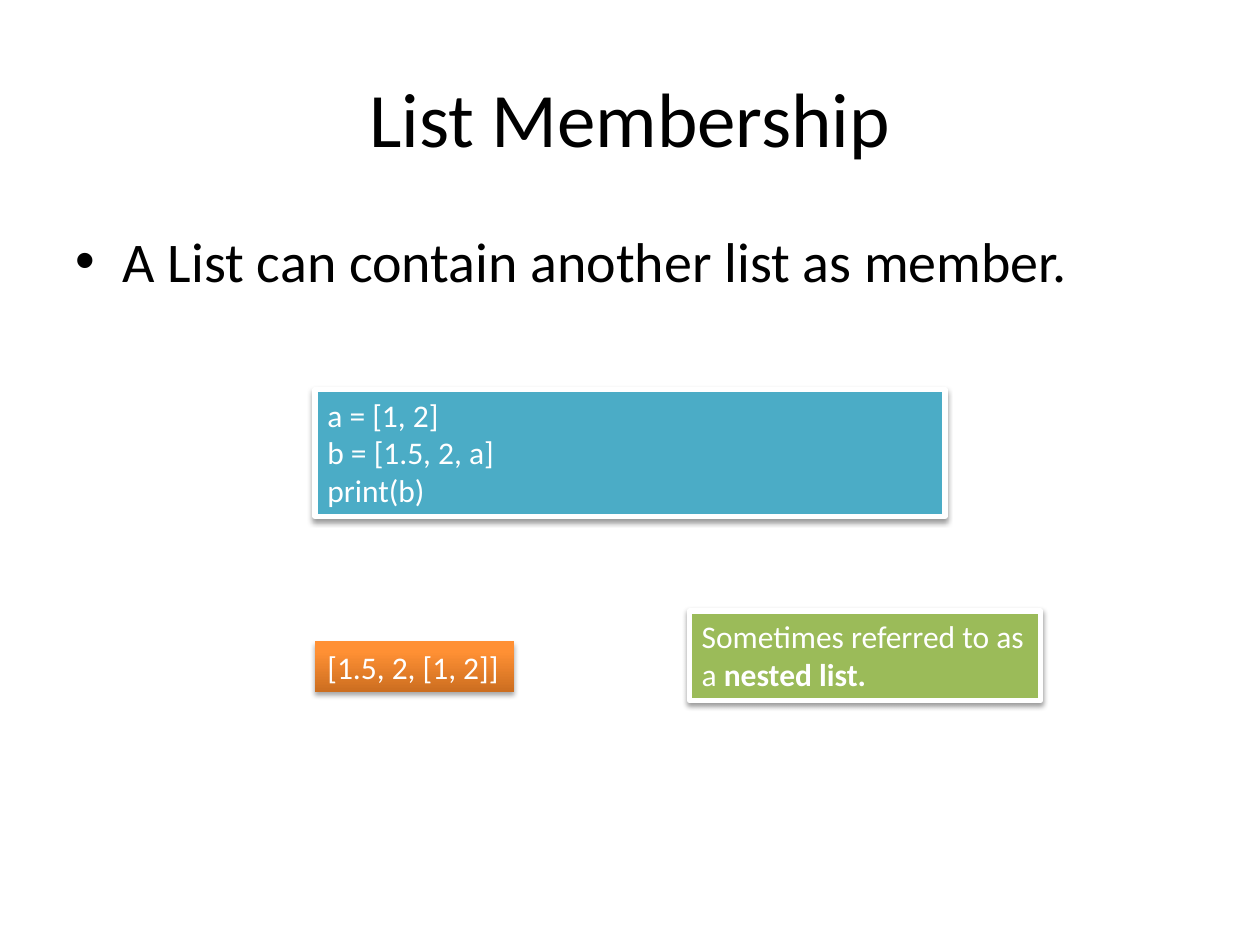
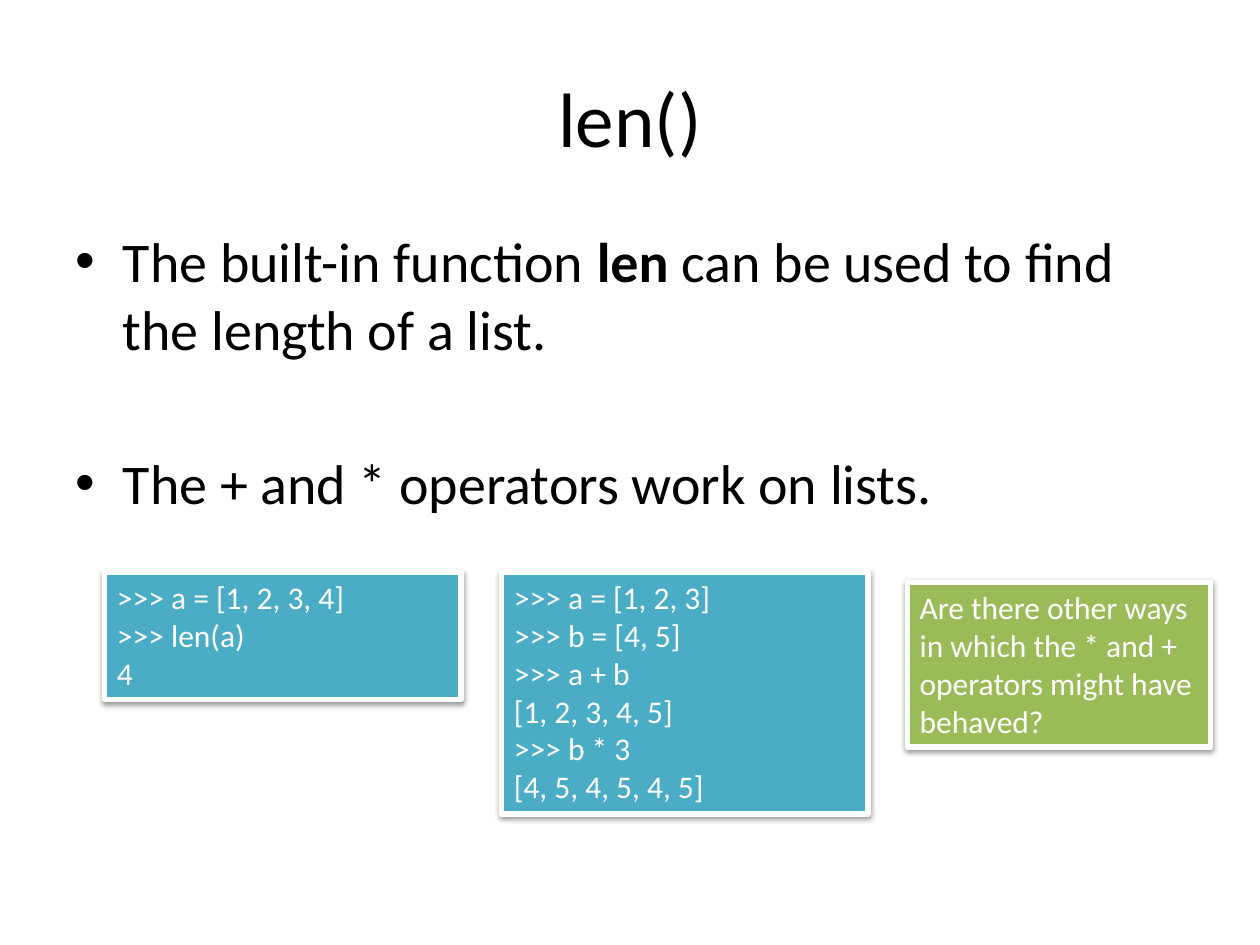
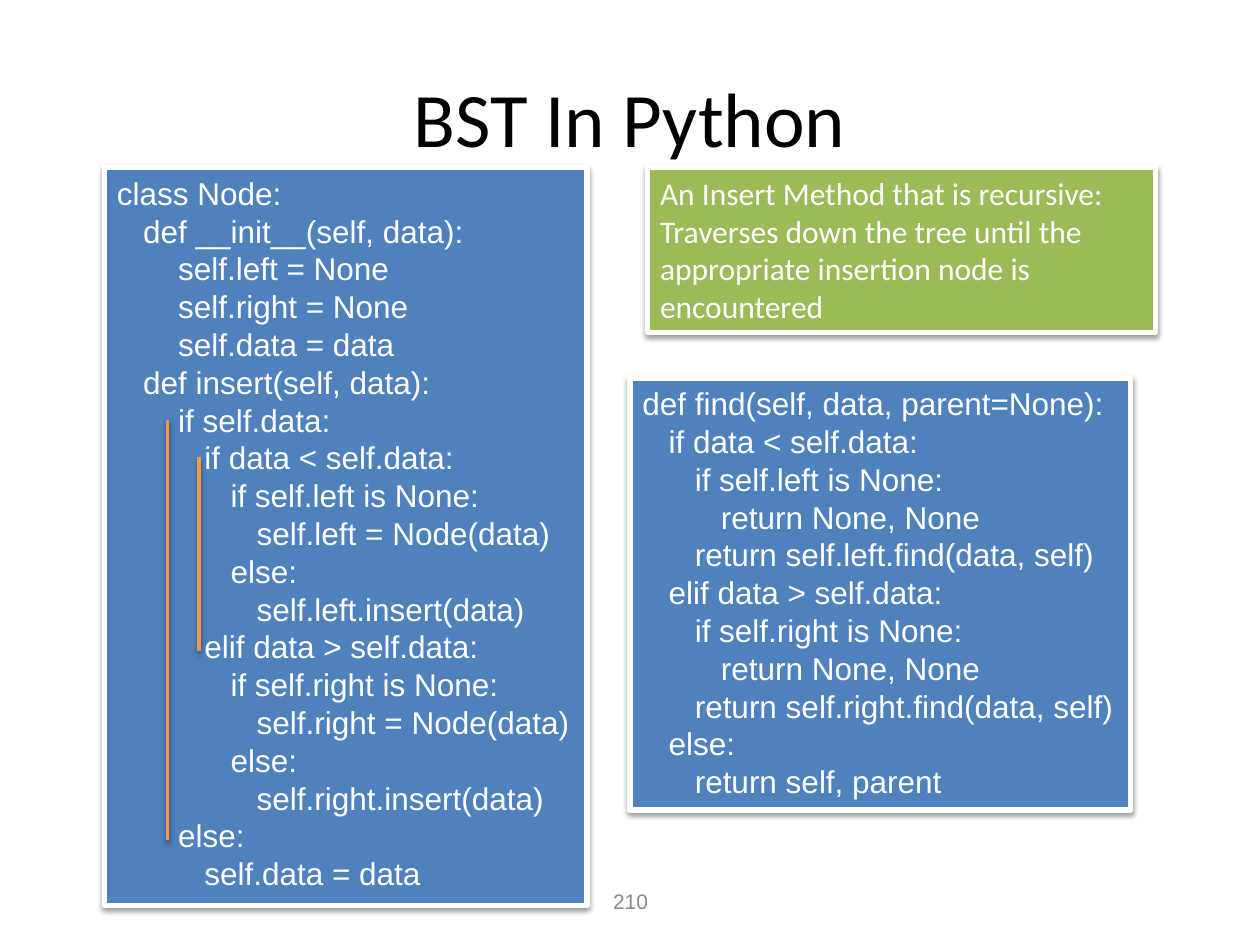
from dataclasses import dataclass

import pptx
import pptx.dml.color
import pptx.enum.shapes
import pptx.enum.text
import pptx.oxml.ns
import pptx.util
from lxml import etree
from pptx.util import Inches

WHITE, BLACK, GRAY = "FFFFFF", "000000", "898989"
TEAL, GREEN, BLUE, ORANGE = "4BACC6", "9BBB59", "4F81BD", "F79646"
ORANGE_DARK, ORANGE_LIGHT = "CC6E20", "FF9034"
HEADING_FONT, CODE_FONT = "Calibri", "Arial"
TITLE_AND_CONTENT, TITLE_ONLY = 1, 5
ALIGN = pptx.enum.text.PP_ALIGN
ANCHOR = pptx.enum.text.MSO_ANCHOR
AUTO_SIZE = pptx.enum.text.MSO_AUTO_SIZE


@dataclass
class Panel:
    """A filled rectangle of text; the lines of the text are its paragraphs."""
    left: float
    top: float
    width: float
    height: float
    fill: str
    text: str
    font: str = HEADING_FONT
    wrap: bool = False


@dataclass
class ScopeLine:
    """A vertical line that joins the branches of one if statement."""
    x: float
    top: float
    bottom: float


NESTED_CODE = """a = [1, 2]
b = [1.5, 2, a]
print(b)"""

NESTED_NOTE = """Sometimes referred to as
a **nested list.**"""

LENGTH_CODE = """>>> a = [1, 2, 3, 4]
>>> len(a)
4"""

OPERATOR_CODE = """>>> a = [1, 2, 3]
>>> b = [4, 5]
>>> a + b
[1, 2, 3, 4, 5]
>>> b * 3
[4, 5, 4, 5, 4, 5]"""

OPERATOR_NOTE = """Are there other ways
in which the * and +
operators might have
behaved?"""

NODE_CODE = """class Node:
   def __init__(self, data):
       self.left = None
       self.right = None
       self.data = data
   def insert(self, data):
       if self.data:
          if data < self.data:
             if self.left is None:
                self.left = Node(data)
             else:
                self.left.insert(data)
          elif data > self.data:
             if self.right is None:
                self.right = Node(data)
             else:
                self.right.insert(data)
       else:
          self.data = data"""

INSERT_NOTE = """An Insert Method that is recursive:
Traverses down the tree until the
appropriate insertion node is
encountered"""

FIND_CODE = """def find(self, data, parent=None):
   if data < self.data:
      if self.left is None:
         return None, None
      return self.left.find(data, self)
   elif data > self.data:
      if self.right is None:
         return None, None
      return self.right.find(data, self)
   else:
      return self, parent"""


def color(value: str) -> pptx.dml.color.RGBColor:
    return pptx.dml.color.RGBColor.from_string(value)


def write_text(frame, text: str, *, size: float, font: str = HEADING_FONT,
               fill: str = BLACK, align=ALIGN.LEFT, anchor=ANCHOR.TOP,
               wrap: bool = True, auto_size=AUTO_SIZE.NONE, gap: float = 0) -> None:
    """Write one paragraph a line, with bold between double asterisks."""
    frame.word_wrap = wrap
    frame.auto_size = auto_size
    frame.vertical_anchor = anchor
    for index, line in enumerate(text.split("\n")):
        paragraph = frame.add_paragraph() if index else frame.paragraphs[0]
        paragraph.alignment = align
        paragraph.space_before = pptx.util.Pt(gap if index else 0)
        for part, words in enumerate(line.split("**")):
            if not words:
                continue
            run = paragraph.add_run()
            run.text = words
            run.font.name = font
            run.font.size = pptx.util.Pt(size)
            run.font.bold = part % 2 == 1
            run.font.color.rgb = color(fill)


def add_shadow(shape, distance: float = 1.6, opacity: int = 38) -> None:
    """Add a soft downward shadow; call it once fill and line are set."""
    qn = pptx.oxml.ns.qn
    effects = etree.SubElement(shape._element.spPr, qn("a:effectLst"))
    shadow = etree.SubElement(effects, qn("a:outerShdw"), {
        "blurRad": str(pptx.util.Pt(3.1)), "dist": str(pptx.util.Pt(distance)),
        "dir": "5400000", "rotWithShape": "0"})
    tint = etree.SubElement(shadow, qn("a:srgbClr"), val=BLACK)
    etree.SubElement(tint, qn("a:alpha"), val=str(opacity * 1000))


def place(shape, left: float, top: float, width: float, height: float) -> None:
    shape.left, shape.top = Inches(left), Inches(top)
    shape.width, shape.height = Inches(width), Inches(height)


def add_titled_slide(presentation, layout: int, title: str):
    slide = presentation.slides.add_slide(presentation.slide_layouts[layout])
    place(slide.shapes.title, 0.5, 0.3, 9, 1.25)
    write_text(slide.shapes.title.text_frame, title, size=44,
               align=ALIGN.CENTER, anchor=ANCHOR.MIDDLE)
    return slide


def add_bullets(slide, text: str, height: float, gap: float = 0) -> None:
    body = slide.placeholders[1]
    place(body, 0.5, 1.75, 9, height)
    write_text(body.text_frame, text, size=32, gap=gap)


def add_rectangle(slide, panel: Panel):
    shape = slide.shapes.add_shape(
        pptx.enum.shapes.MSO_SHAPE.RECTANGLE, Inches(panel.left),
        Inches(panel.top), Inches(panel.width), Inches(panel.height))
    write_text(shape.text_frame, panel.text, size=18, font=panel.font,
               fill=WHITE, wrap=panel.wrap,
               auto_size=AUTO_SIZE.SHAPE_TO_FIT_TEXT)
    return shape


def add_panel(slide, panel: Panel) -> None:
    shape = add_rectangle(slide, panel)
    shape.fill.solid()
    shape.fill.fore_color.rgb = color(panel.fill)
    shape.line.color.rgb = color(WHITE)
    shape.line.width = pptx.util.Pt(3)
    add_shadow(shape)


def add_output(slide, panel: Panel) -> None:
    """Draw a panel without a line that fades upwards to light orange."""
    shape = add_rectangle(slide, panel)
    shape.fill.gradient()
    shape.fill.gradient_angle = 90
    stops = ((0, panel.fill), (0.8, ORANGE_LIGHT))
    for stop, (position, value) in zip(shape.fill.gradient_stops, stops):
        stop.position = position
        stop.color.rgb = color(value)
    shape.line.fill.background()
    add_shadow(shape, distance=1.8, opacity=35)


def add_scope_line(slide, scope: ScopeLine) -> None:
    connector = slide.shapes.add_connector(
        pptx.enum.shapes.MSO_CONNECTOR.STRAIGHT, Inches(scope.x),
        Inches(scope.top), Inches(scope.x), Inches(scope.bottom))
    connector.line.color.rgb = color(ORANGE)
    connector.line.width = pptx.util.Pt(2)
    add_shadow(connector)


def add_slide_number(slide, number: str) -> None:
    box = slide.shapes.add_textbox(
        Inches(3.42), Inches(6.95), Inches(3.17), Inches(0.4))
    write_text(box.text_frame, number, size=12, font=CODE_FONT, fill=GRAY,
               align=ALIGN.CENTER, anchor=ANCHOR.MIDDLE)


def build_membership(presentation) -> None:
    slide = add_titled_slide(presentation, TITLE_AND_CONTENT, "List Membership")
    add_bullets(slide, "A List can contain another list as member.", 0.58)
    add_panel(slide, Panel(2.5, 3.09, 5, 1.01, TEAL, NESTED_CODE, wrap=True))
    add_output(slide, Panel(2.5, 5.09, 1.58, 0.4, ORANGE_DARK, "[1.5, 2, [1, 2]]"))
    add_panel(slide, Panel(5.47, 4.85, 2.79, 0.71, GREEN, NESTED_NOTE))


def build_length(presentation) -> None:
    slide = add_titled_slide(presentation, TITLE_AND_CONTENT, "len()")
    add_bullets(slide, "The built-in function **len** can be used to find "
                "the length of a list.\nThe + and * operators work on lists.",
                2.47, gap=50)
    for panel in (
        Panel(3.98, 4.54, 2.91, 1.92, TEAL, OPERATOR_CODE, wrap=True),
        Panel(0.83, 4.54, 2.83, 1.01, TEAL, LENGTH_CODE, wrap=True),
        Panel(7.2, 4.62, 2.41, 1.31, GREEN, OPERATOR_NOTE),
    ):
        add_panel(slide, panel)


def build_search_tree(presentation) -> None:
    slide = add_titled_slide(presentation, TITLE_ONLY, "BST In Python")
    add_slide_number(slide, "210")
    add_panel(slide, Panel(0.83, 1.33, 3.83, 5.86, BLUE, NODE_CODE, CODE_FONT))
    for scope in (ScopeLine(1.33, 3.33, 6.67), ScopeLine(1.58, 3.63, 5.17)):
        add_scope_line(slide, scope)
    add_panel(slide, Panel(5.14, 1.33, 4.03, 1.31, GREEN, INSERT_NOTE))
    add_panel(slide, Panel(5, 3, 3.97, 3.43, BLUE, FIND_CODE, CODE_FONT))


def main() -> None:
    presentation = pptx.Presentation()
    presentation.slide_width = Inches(10)
    presentation.slide_height = Inches(7.5)
    build_membership(presentation)
    build_length(presentation)
    build_search_tree(presentation)
    presentation.save("out.pptx")


if __name__ == "__main__":
    main()
